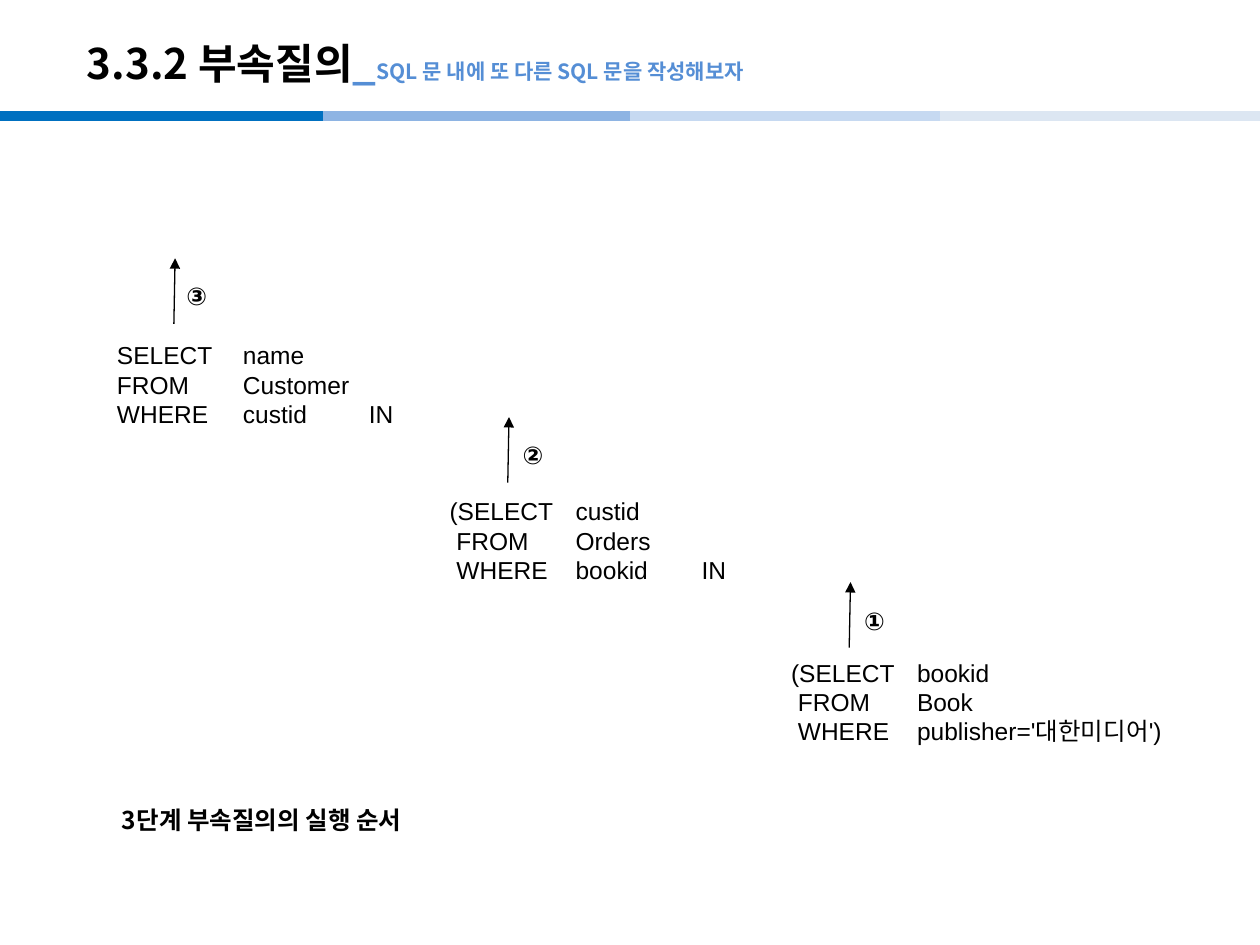
import pptx
import pptx.dml.color
import pptx.enum.shapes
import pptx.enum.text
import pptx.oxml.ns
import pptx.util
from lxml import etree
from pptx.util import Inches

theme = {
    "ko": "Noto Sans CJK KR", "code": "Arial",
    "black": "000000", "accent": "558ED5",
    "bars": ["0070C0", "8EB4E3", "C6D9F1", "DCE6F2"],
    "title": 24, "subtitle": 12, "body": 14,
    "bar_width": 6, "arrow_width": 0.75,
}
qn = pptx.oxml.ns.qn


def add_run(p, text, size, font, color="black", bold=False):
    r = p.add_run()
    r.text = text
    r.font.size = pptx.util.Pt(size)
    r.font.bold = bold
    r.font.name = font
    r.font.color.rgb = pptx.dml.color.RGBColor.from_string(theme[color])
    ea = etree.SubElement(r.font._element, qn("a:ea"))
    ea.set("typeface", theme["ko"])


def add_line(x1, y1, x2, y2, color, width):
    sp = slide.shapes.add_connector(
        pptx.enum.shapes.MSO_CONNECTOR.STRAIGHT,
        Inches(x1), Inches(y1), Inches(x2), Inches(y2))
    sp.line.color.rgb = pptx.dml.color.RGBColor.from_string(color)
    sp.line.width = pptx.util.Pt(width)
    etree.SubElement(sp._element.spPr, qn("a:effectLst"))
    return sp


prs = pptx.Presentation()
prs.slide_width, prs.slide_height = Inches(10), Inches(7.5)
slide = prs.slides.add_slide(prs.slide_layouts[5])

# Colour bars under the title
for x, color in zip([0, 2.56, 5, 7.46], theme["bars"]):
    add_line(x, 0.92, x + 2.56, 0.92, color, theme["bar_width"])

# Title
title = slide.shapes.title
title.left, title.top = Inches(0.59), Inches(0.2)
title.width, title.height = Inches(8.27), Inches(0.6)
tf = title.text_frame
tf.auto_size = pptx.enum.text.MSO_AUTO_SIZE.NONE
tf.vertical_anchor = pptx.enum.text.MSO_ANCHOR.MIDDLE
p = tf.paragraphs[0]
p.alignment = pptx.enum.text.PP_ALIGN.LEFT
add_run(p, "3.3.2 부속질의", theme["title"], theme["ko"], bold=True)
add_run(p, "_", theme["title"], theme["ko"], "accent", True)
add_run(p, "SQL 문 내에 또 다른 SQL 문을 작성해보자",
        theme["subtitle"], theme["ko"], "accent", True)

# Query blocks: left, top, lines
queries = [
    (6.18, 5.17, ["(SELECT \tbookid", " FROM\tBook", " WHERE\tpublisher='대한미디어')"]),
    (3.47, 3.89, ["(SELECT \tcustid", " FROM\tOrders", " WHERE\tbookid \tIN"]),
    (0.83, 2.65, ["SELECT\tname", "FROM\tCustomer", "WHERE\tcustid \tIN"]),
]
for x, y, lines in queries:
    sp = slide.shapes.add_textbox(Inches(x), Inches(y), Inches(3.7), Inches(0.81))
    tf = sp.text_frame
    tf.word_wrap = True
    for i, line in enumerate(lines):
        p = tf.add_paragraph() if i else tf.paragraphs[0]
        add_run(p, line, theme["body"], theme["code"])

# Step numbers and the arrows beside them
steps = [("①", 6.76, 4.76, 4.62), ("②", 4.05, 3.44, 3.31), ("③", 1.38, 2.18, 2.05)]
for number, x, y, arrow_top in steps:
    sp = slide.shapes.add_textbox(Inches(x), Inches(y), Inches(0.39), Inches(0.34))
    sp.text_frame.word_wrap = False
    add_run(sp.text_frame.paragraphs[0], number, theme["body"], theme["code"], bold=True)

    arrow_x = x if number == "③" else x - 0.02
    arrow = add_line(arrow_x + 0.01, arrow_top, arrow_x, arrow_top + 0.52,
                     theme["black"], theme["arrow_width"])
    head = etree.SubElement(arrow.line._get_or_add_ln(), qn("a:headEnd"))
    head.set("type", "triangle")

# Caption
sp = slide.shapes.add_textbox(Inches(0.87), Inches(6.35), Inches(2.5), Inches(0.31))
tf = sp.text_frame
tf.word_wrap = False
tf.vertical_anchor = pptx.enum.text.MSO_ANCHOR.MIDDLE
add_run(tf.paragraphs[0], "3단계 부속질의의 실행 순서", theme["body"], theme["ko"], bold=True)

prs.save("out.pptx")
